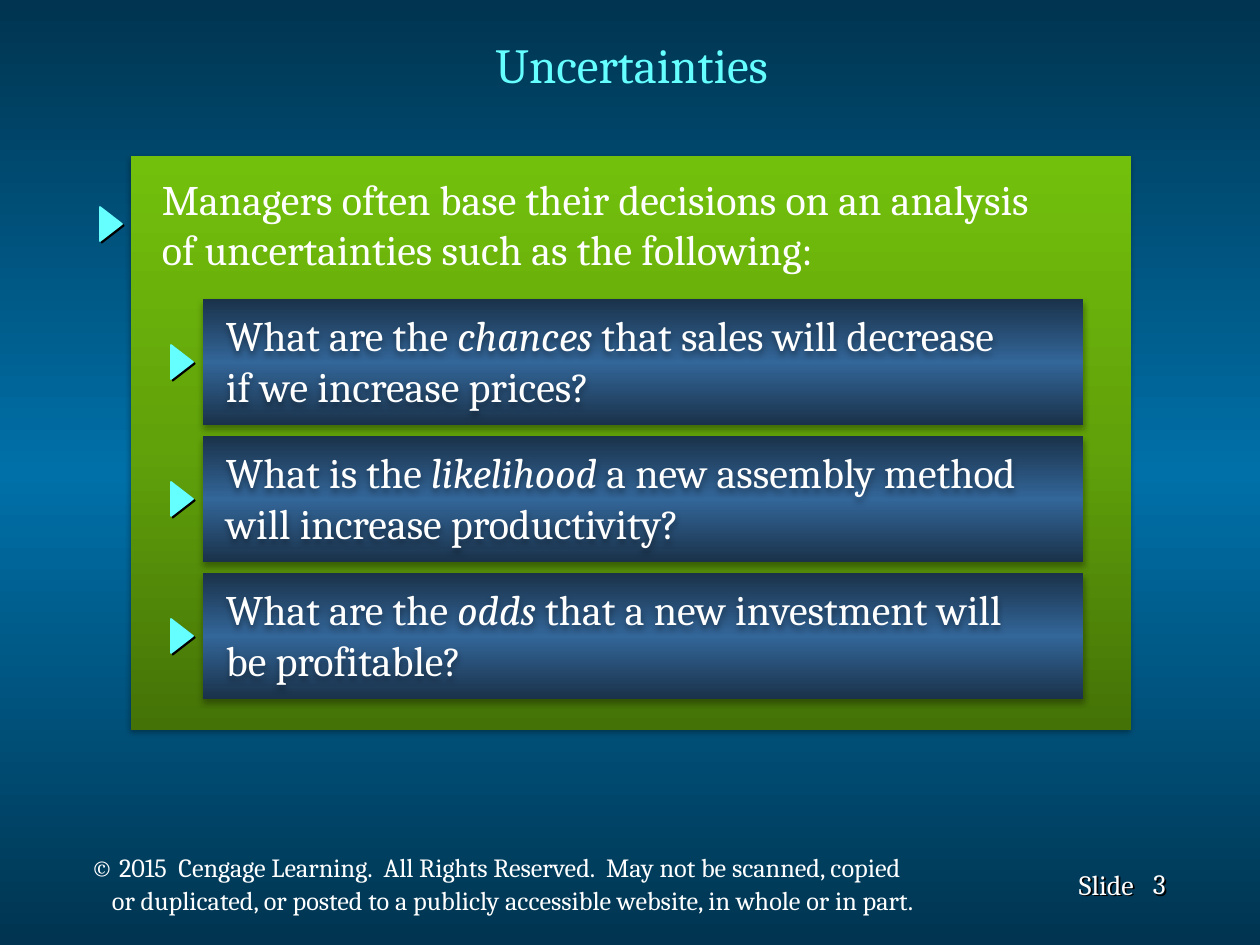
from lxml.etree import SubElement
from pptx import Presentation
from pptx.dml.color import RGBColor
from pptx.enum.shapes import MSO_SHAPE as Shape
from pptx.enum.text import MSO_ANCHOR as Anchor, PP_ALIGN as Align
from pptx.oxml.ns import qn
from pptx.util import Emu, Pt

# Content: a paragraph is a list of (text, italic) runs
TITLE = [[("Uncertainties", False)]]
INTRO = [
    [("Managers often base their decisions on an analysis", False)],
    [("of uncertainties such as the following:", False)],
]
QUESTIONS = [
    [[("What are the ", False), ("chances", True), (" that sales will decrease", False)],
     [("if we increase prices?", False)]],
    [[("What is the ", False), ("likelihood", True), (" a new assembly method", False)],
     [("will increase productivity?", False)]],
    [[("What are the ", False), ("odds", True), (" that a new investment will", False)],
     [("be profitable?", False)]],
]
COPYRIGHT = [
    [("© 2015  Cengage Learning.  All Rights Reserved.  May not be scanned, copied", False)],
    [("or duplicated, or posted to a publicly accessible website, in whole or in part.", False)],
]

# Style
FONT = "Cambria"
WHITE = RGBColor(0xFF, 0xFF, 0xFF)
CYAN = RGBColor(0x66, 0xFF, 0xFF)
DEEP_SEA = RGBColor(0x00, 0x34, 0x50)
SEA = RGBColor(0x00, 0x70, 0xA8)
LIGHT_GREEN = RGBColor(0x73, 0xC0, 0x0C)
GREEN = RGBColor(0x61, 0xA2, 0x0A)
DARK_GREEN = RGBColor(0x44, 0x72, 0x07)
NAVY = RGBColor(0x1A, 0x32, 0x4A)
BLUE = RGBColor(0x33, 0x66, 0x99)
SOFT_SHADOW = dict(opacity=32, blur=3.5, distance=2.2, angle=90)
HARD_SHADOW = dict(opacity=100, blur=0, distance=1.4, angle=45)

# Layout in px
PX = 914400 // 126
ROW_LEFT, ROW_TOP, ROW_WIDTH, ROW_HEIGHT, ROW_PITCH = 203, 299, 880, 126, 137
MARKER_LENGTH, MARKER_DEPTH = 34, 22


def px(*lengths):
    return [Emu(length * PX) for length in lengths]


def set_gradient(fill, element, colors):
    """Fill with evenly spaced colours from top to bottom."""
    fill.gradient()
    gradient = element.find(".//" + qn("a:gradFill"))
    for child in list(gradient):
        gradient.remove(child)
    stops = SubElement(gradient, qn("a:gsLst"))
    for index, color in enumerate(colors):
        position = 100000 * index // (len(colors) - 1)
        stop = SubElement(stops, qn("a:gs"), pos=str(position))
        SubElement(stop, qn("a:srgbClr"), val=str(color))
    SubElement(gradient, qn("a:lin"), ang="5400000", scaled="0")


def set_shadow(shape, opacity, blur, distance, angle):
    shape.shadow.inherit = False
    effects = shape.element.spPr.find(qn("a:effectLst"))
    outer = SubElement(effects, qn("a:outerShdw"), blurRad=str(Pt(blur)),
                       dist=str(Pt(distance)), dir=str(angle * 60000),
                       algn="ctr", rotWithShape="0")
    color = SubElement(outer, qn("a:srgbClr"), val="000000")
    SubElement(color, qn("a:alpha"), val=str(opacity * 1000))


def write_text(shape, paragraphs, size=24, color=WHITE, align=Align.LEFT,
               anchor=Anchor.TOP, left=13, top=6, wrap=False,
               line_spacing=None, gap=0, last_indent=0):
    frame = shape.text_frame
    frame.word_wrap = wrap
    frame.vertical_anchor = anchor
    frame.margin_left, frame.margin_top = px(left, top)
    for index, runs in enumerate(paragraphs):
        paragraph = frame.add_paragraph() if index else frame.paragraphs[0]
        paragraph.alignment = align
        if line_spacing:
            paragraph.line_spacing = Pt(line_spacing)
        if index:
            paragraph.space_before = Pt(gap)
        if last_indent and index == len(paragraphs) - 1:
            paragraph._p.get_or_add_pPr().set("marL", str(last_indent * PX))
        for text, italic in runs:
            run = paragraph.add_run()
            run.text = text
            font = run.font
            font.name, font.size, font.italic, font.bold = FONT, Pt(size), italic, False
            font.color.rgb = color


def add_text(slide, box, paragraphs, shadow=None, **style):
    text_box = slide.shapes.add_textbox(*px(*box))
    write_text(text_box, paragraphs, **style)
    if shadow:
        set_shadow(text_box, **shadow)


def add_panel(slide, box, colors):
    panel = slide.shapes.add_shape(Shape.RECTANGLE, *px(*box))
    set_gradient(panel.fill, panel.element, colors)
    panel.line.fill.background()
    set_shadow(panel, **SOFT_SHADOW)
    return panel


def add_marker(slide, center_x, center_y):
    marker = slide.shapes.add_shape(
        Shape.ISOSCELES_TRIANGLE,
        *px(center_x - MARKER_LENGTH // 2, center_y - MARKER_DEPTH // 2,
            MARKER_LENGTH, MARKER_DEPTH))
    marker.rotation = 90
    marker.fill.solid()
    marker.fill.fore_color.rgb = CYAN
    marker.line.color.rgb = CYAN
    marker.line.width = Pt(1)
    set_shadow(marker, **HARD_SHADOW)


def main():
    presentation = Presentation()
    presentation.slide_width, presentation.slide_height = px(1260, 945)
    slide = presentation.slides.add_slide(presentation.slide_layouts[5])
    set_gradient(slide.background.fill, slide.element, [DEEP_SEA, SEA, DEEP_SEA])

    # Title
    title = slide.shapes.title
    title.left, title.top, title.width, title.height = px(96, 4, 1071, 120)
    write_text(title, TITLE, size=28, color=CYAN, align=Align.CENTER,
               anchor=Anchor.MIDDLE, wrap=True)

    # Footer
    add_text(slide, (1129, 861, 76, 47), [[("3", False)]], size=16, left=24,
             shadow=HARD_SHADOW)
    add_text(slide, (1066, 827, 115, 80), [[("Slide", False)]], size=16,
             anchor=Anchor.BOTTOM, shadow=HARD_SHADOW)
    add_text(slide, (78, 849, 941, 76), COPYRIGHT, size=15,
             line_spacing=16, gap=3, last_indent=21)

    # Green panel with the introduction
    panel = add_panel(slide, (131, 156, 1000, 574), [LIGHT_GREEN, GREEN, DARK_GREEN])
    write_text(panel, INTRO, left=31, top=17)
    add_marker(slide, 111, 224)

    # One blue row per question
    for index, question in enumerate(QUESTIONS):
        top = ROW_TOP + index * ROW_PITCH
        add_panel(slide, (ROW_LEFT, top, ROW_WIDTH, ROW_HEIGHT), [NAVY, BLUE, NAVY])
        add_text(slide, (ROW_LEFT + 10, top + 5, ROW_WIDTH - 20, 114), question,
                 shadow=SOFT_SHADOW)
        add_marker(slide, 182, top + ROW_HEIGHT // 2)

    presentation.save("out.pptx")


if __name__ == "__main__":
    main()
